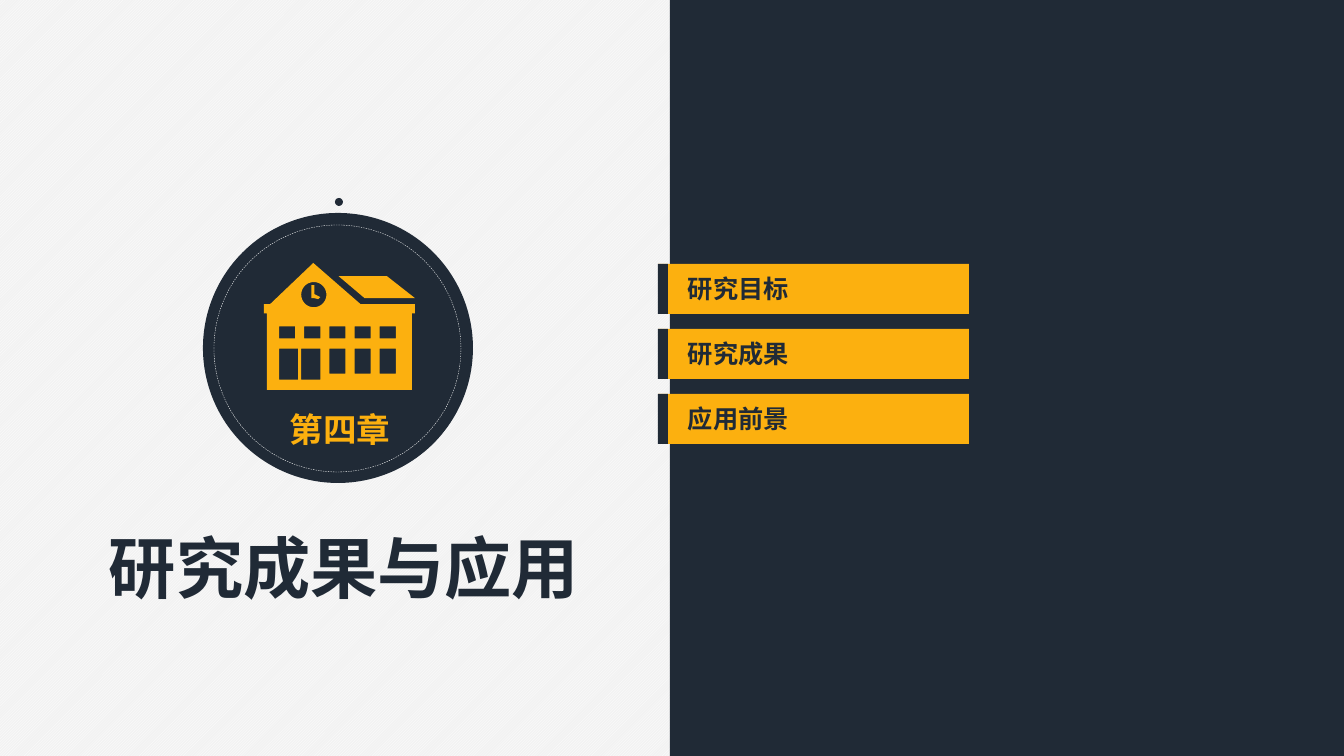
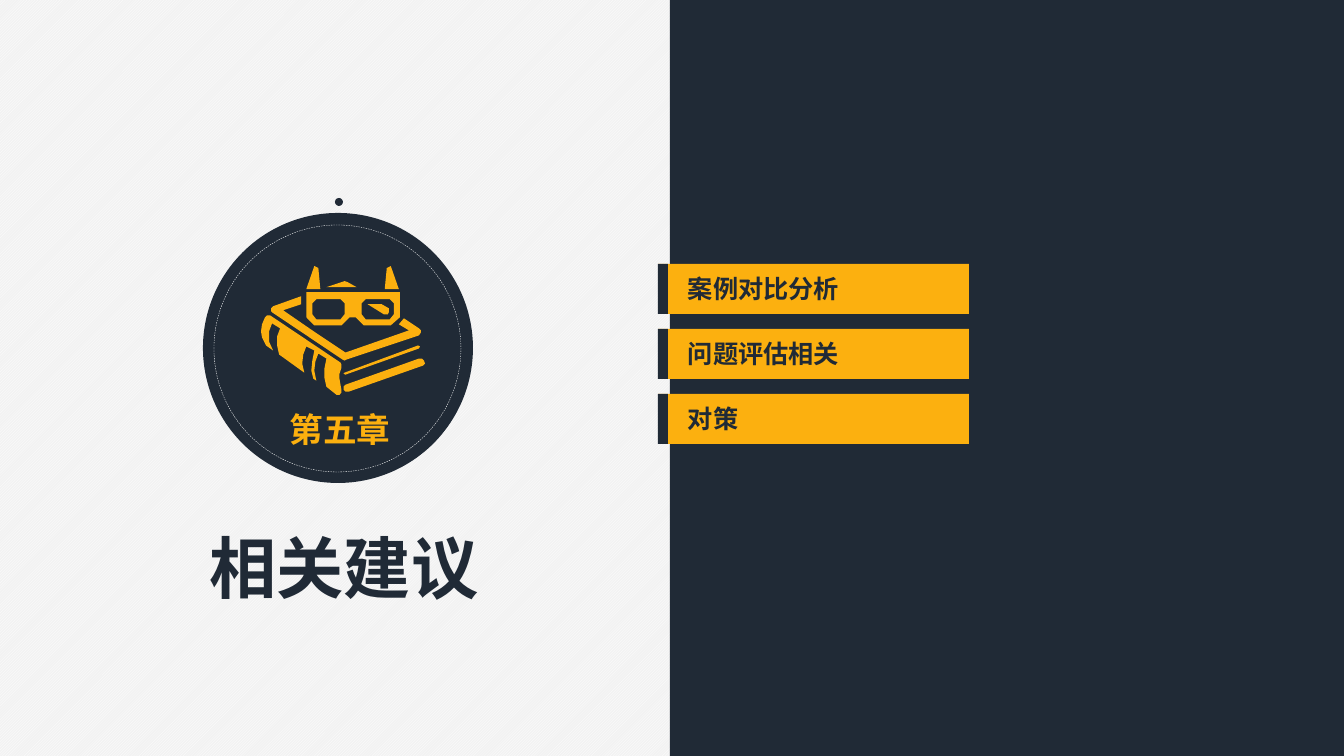
from dataclasses import dataclass
from math import cos, pi, sin

from lxml import etree
from pptx import Presentation
from pptx.dml.color import RGBColor
from pptx.enum.dml import MSO_LINE, MSO_PATTERN
from pptx.enum.shapes import MSO_SHAPE
from pptx.enum.text import MSO_ANCHOR, MSO_AUTO_SIZE, PP_ALIGN
from pptx.oxml.ns import qn
from pptx.util import Pt

RECT, OVAL = MSO_SHAPE.RECTANGLE, MSO_SHAPE.OVAL
DASH, DIAGONAL = MSO_LINE.DASH, MSO_PATTERN.LIGHT_UPWARD_DIAGONAL
LEFT, CENTER = PP_ALIGN.LEFT, PP_ALIGN.CENTER
TOP, MIDDLE = MSO_ANCHOR.TOP, MSO_ANCHOR.MIDDLE
FIT, FIXED = MSO_AUTO_SIZE.SHAPE_TO_FIT_TEXT, MSO_AUTO_SIZE.NONE

EMU_PER_PX = 914400 / 100.8
SLIDE_W, SLIDE_H = 1344, 756
ICON_DETAIL = 20


@dataclass(frozen=True)
class Theme:
    navy: RGBColor = RGBColor(0x20, 0x2A, 0x36)
    amber: RGBColor = RGBColor(0xFC, 0xB0, 0x0F)
    white: RGBColor = RGBColor(0xFF, 0xFF, 0xFF)
    paper: RGBColor = RGBColor(0xF2, 0xF2, 0xF2)
    font: str = "Noto Sans CJK SC"
    title: int = 48
    chapter: int = 24
    label: int = 18
    hairline: float = 0.25


THEME = Theme()


def px(*lengths):
    return [round(v * EMU_PER_PX) for v in lengths]


def box(left, top, right, bottom):
    return [(left, top), (right, top), (right, bottom), (left, bottom)]


def shift(points, dx):
    return [(x + dx, y) for x, y in points]


def mirror(points, axis):
    return [(2 * axis - x, y) for x, y in points]


def school_outlines():
    roof = [(74, 14), (122, 14), (150, 36), (100, 36)]
    walls = [(147, 51), (147, 127), (3, 127), (3, 51), (0, 51), (0, 42), (6, 42),
             (49, 1), (96, 42), (150, 42), (150, 51)]
    steps = 48
    clock = [(49.5 + 12.5 * cos(2 * pi * i / steps), 32.5 + 12.5 * sin(2 * pi * i / steps))
             for i in range(steps)]
    hands = [(50, 36), (47, 36), (47, 23), (50, 23), (50, 32), (56, 35), (54, 37)]
    columns = [15 + 25 * i for i in range(5)]
    upper = [box(x, 64, x + 16, 76) for x in columns]
    lower = [box(x, 86, x + 16, 111) for x in columns[2:]]
    doors = [box(x, 86, x + 19, 117) for x in (15, 37)]
    return [roof, walls, clock, hands, *upper, *lower, *doors]


def book_outlines():
    spine = [(80, 101), (78, 107), (78, 112), (79, 118), (80, 123), (80, 126), (78, 128),
             (75, 128), (65, 120), (63, 111), (63, 102), (65, 92), (57, 87), (54, 95),
             (53, 104), (55, 114), (52, 112), (50, 104), (51, 94), (53, 84), (45, 80),
             (42, 88), (41, 97), (43, 106), (18, 88), (16, 79), (16, 70), (19, 62),
             (11, 57), (8, 65), (8, 75), (12, 84), (5, 79), (4, 77), (1, 71), (0, 65),
             (1, 58), (4, 51), (6, 49), (9, 49), (79, 96), (80, 98)]
    cover = [(81, 93), (83, 94), (85, 93), (157, 69), (159, 66), (159, 64), (157, 62),
             (142, 52), (137, 58), (147, 64), (84, 86), (51, 64), (22, 44), (40, 38),
             (40, 30), (12, 40), (10, 42), (10, 45), (11, 46)]
    back = [(87, 125), (84, 125), (82, 123), (82, 120), (84, 118), (157, 92), (160, 92),
            (162, 94), (163, 97), (161, 99)]
    page = [(84, 108), (157, 82), (158, 80), (156, 79), (83, 106), (82, 107)]
    frame = [(45, 26), (45, 51), (53, 59), (80, 59), (88, 51), (94, 51), (102, 59),
             (129, 59), (138, 51), (138, 26)]
    lens = [(55, 33), (51, 37), (51, 48), (55, 53), (79, 53), (83, 48), (83, 37), (79, 33)]
    glint = [(120, 38), (127, 42), (127, 46), (126, 48), (122, 48), (106, 38)]
    temple = [(45, 23), (53, 0), (57, 2), (59, 23)]
    bridge = [(65, 21), (83, 15), (86, 16), (95, 21)]
    return [spine, cover, back, page, frame, lens, shift(lens, 49), glint,
            temple, mirror(temple, 91), bridge]


def paint(sp, fill=None, line=None):
    sp.shadow.inherit = False
    if fill is None:
        sp.fill.background()
    else:
        sp.fill.solid()
        sp.fill.fore_color.rgb = fill
    if line is None:
        sp.line.fill.background()
    else:
        sp.line.color.rgb = line
        sp.line.width = Pt(THEME.hairline)
        sp.line.dash_style = DASH


def add_shape(s, kind, x, y, w, h, **colors):
    paint(s.shapes.add_shape(kind, *px(x, y, w, h)), **colors)


def add_text(s, text, x, y, w, h, size, color, align=LEFT, **frame):
    tf = s.shapes.add_textbox(*px(x, y, w, h)).text_frame
    layout = {"word_wrap": False, "auto_size": FIT, "vertical_anchor": TOP, **frame}
    for name, value in layout.items():
        setattr(tf, name, value)
    p = tf.paragraphs[0]
    p.alignment = align
    r = p.add_run()
    r.text = text
    r.font.color.rgb = color
    for name, value in {"name": THEME.font, "size": Pt(size), "bold": True}.items():
        setattr(r.font, name, value)
    etree.SubElement(r.font._element, qn("a:ea"), typeface=THEME.font)


def add_icon(s, outlines, x, y, w):
    fine = [[(a * ICON_DETAIL, b * ICON_DETAIL) for a, b in points] for points in outlines]
    unit = w * EMU_PER_PX / max(a for points in fine for a, _ in points)
    first, *others = fine
    builder = s.shapes.build_freeform(*first[0], scale=unit)
    builder.add_line_segments(first[1:], close=True)
    for points in others:
        builder.move_to(*points[0])
        builder.add_line_segments(points[1:], close=True)
    paint(builder.convert_to_shape(*px(x, y)), fill=THEME.amber)


def add_badge(s, x, y, size, chapter, icon):
    inset = 11
    ring = size - 2 * inset - 1
    add_shape(s, OVAL, x, y, size, size, fill=THEME.navy)
    add_shape(s, OVAL, x + 132, y - 15, 8, 8, fill=THEME.navy)
    add_text(s, chapter, x + 6, y + 190, 262, 52, THEME.chapter, THEME.amber, CENTER,
             word_wrap=True, auto_size=FIXED, vertical_anchor=MIDDLE)
    add_shape(s, OVAL, x + inset, y + inset + 1, ring, ring, line=THEME.white)
    outlines, dx, dy, w = icon
    add_icon(s, outlines, x + dx, y + dy, w)


def add_topics(s, x, y, w, topics):
    height, pitch, tab = 50, 65, 10
    for i, topic in enumerate(topics):
        top = y + i * pitch
        add_shape(s, RECT, x, top, w, height, fill=THEME.amber)
        add_shape(s, RECT, x, top, tab, height, fill=THEME.navy)
        add_text(s, topic, x + 20, top + 4, 26 * len(topic) + 20, 40,
                 THEME.label, THEME.navy)


def add_title(s, center, y, text):
    w = 68 * len(text) + 19
    add_text(s, text, center - w / 2, y, w, 92, THEME.title, THEME.navy, CENTER)


def add_section(prs, chapter, title, topics, icon):
    s = prs.slides.add_slide(prs.slide_layouts[6])
    fill = s.background.fill
    fill.patterned()
    fill.pattern = DIAGONAL
    fill.fore_color.rgb = THEME.white
    fill.back_color.rgb = THEME.paper
    split = 670
    add_shape(s, RECT, split, 0, SLIDE_W - split, SLIDE_H, fill=THEME.navy)
    add_topics(s, split - 12, 264, 311, topics)
    add_badge(s, 203, 213, 270, chapter, icon)
    add_title(s, 344, 521, title)


def main():
    prs = Presentation()
    prs.slide_width, prs.slide_height = px(SLIDE_W, SLIDE_H)
    add_section(prs, "第四章", "研究成果与应用", ["研究目标", "研究成果", "应用前景"],
                (school_outlines(), 61, 49, 151))
    add_section(prs, "第五章", "相关建议", ["案例对比分析", "问题评估相关", "对策"],
                (book_outlines(), 58, 53, 164))
    prs.save("out.pptx")


if __name__ == "__main__":
    main()
